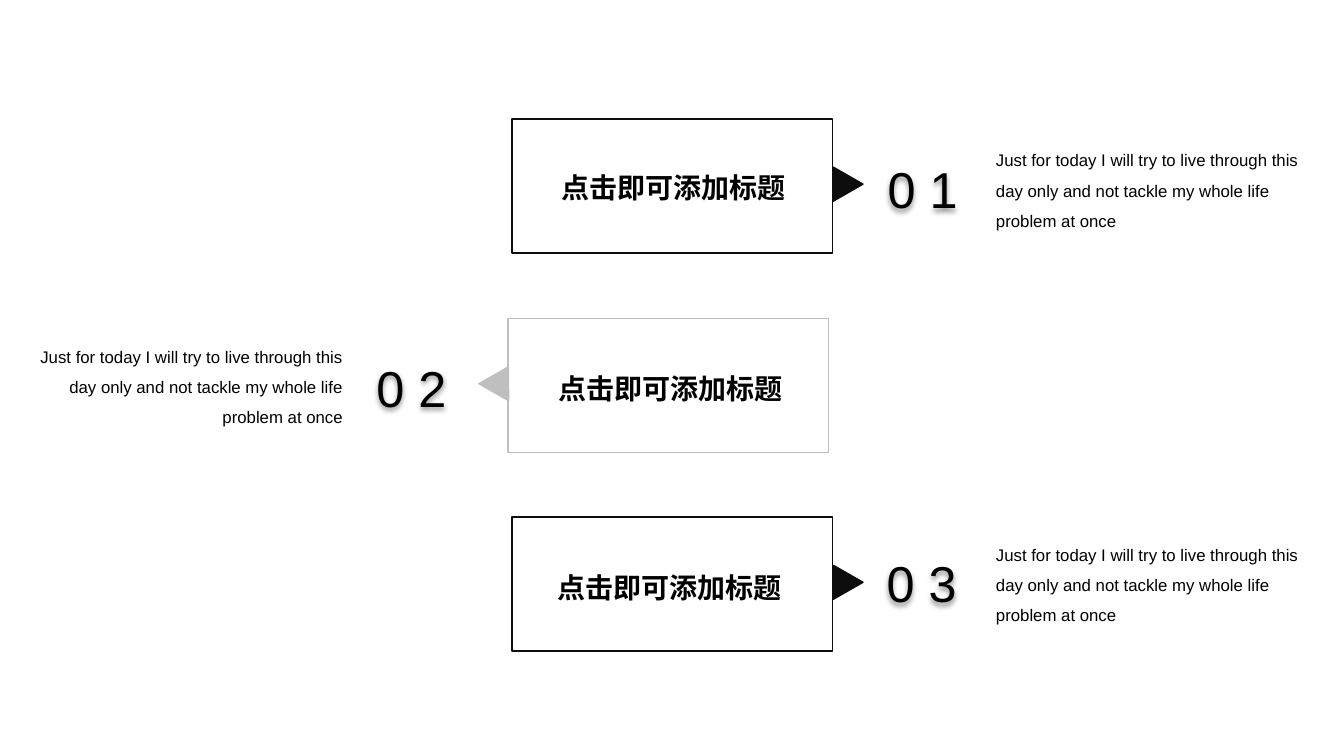
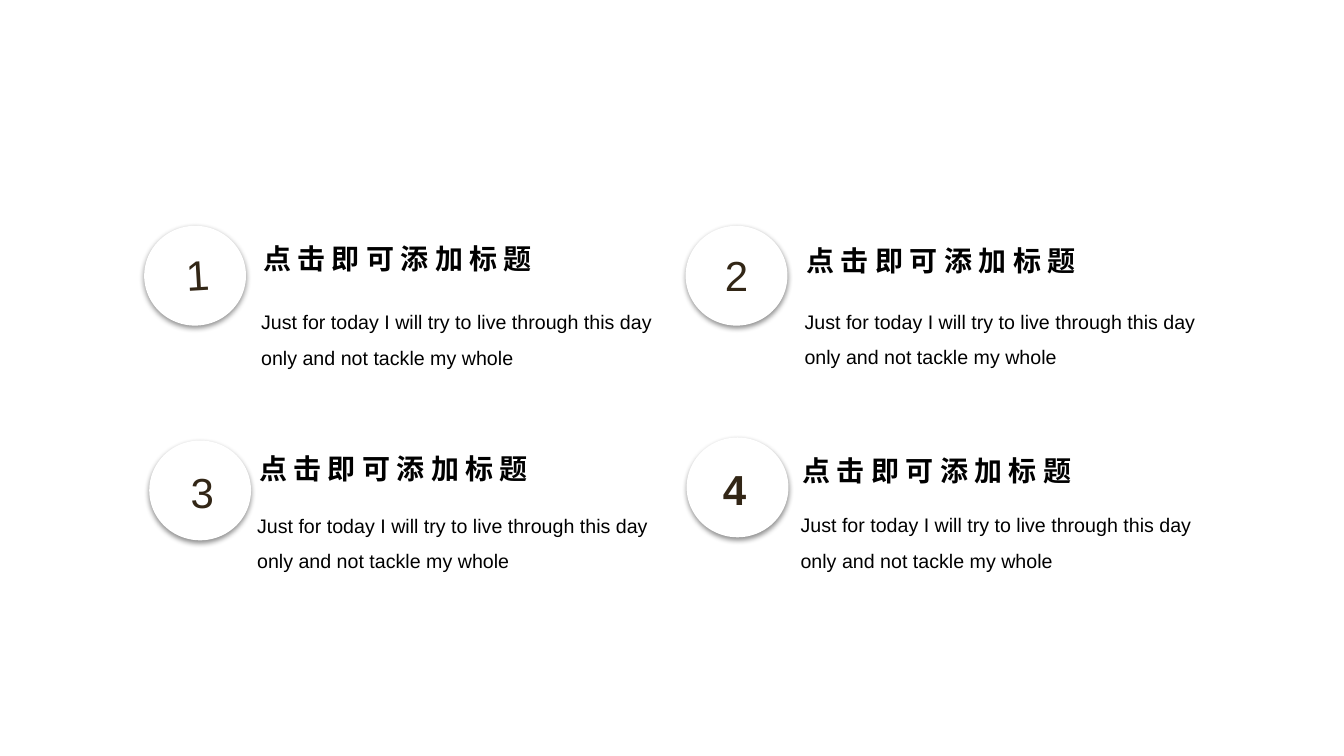
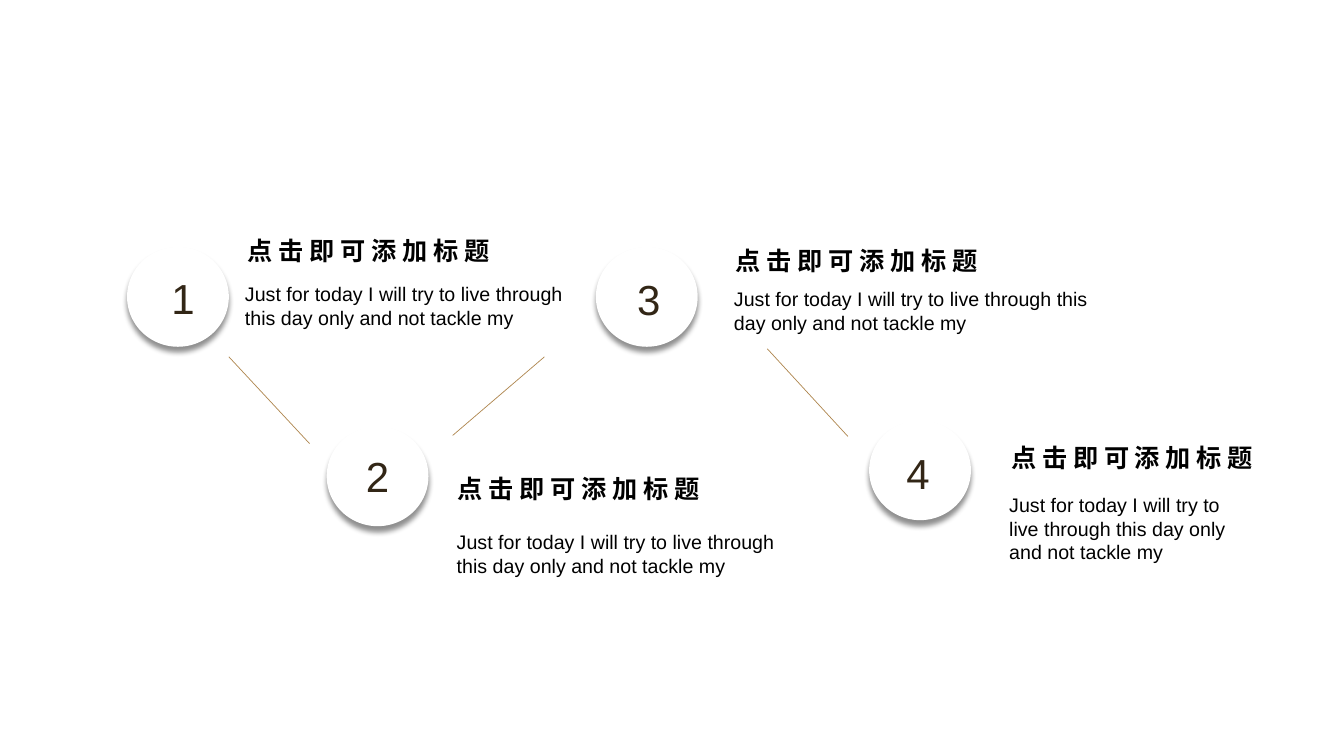
from lxml.etree import SubElement
from pptx import Presentation
from pptx.dml.color import RGBColor
from pptx.enum.shapes import MSO_CONNECTOR as Connector, MSO_SHAPE as Preset
from pptx.enum.text import MSO_ANCHOR as Anchor, MSO_AUTO_SIZE as AutoSize, PP_ALIGN as Align
from pptx.oxml.ns import qn
from pptx.util import Inches, Pt

BLACK = RGBColor(0x00, 0x00, 0x00)
WHITE = RGBColor(0xFF, 0xFF, 0xFF)
INK = RGBColor(0x0D, 0x0D, 0x0D)
GREY = RGBColor(0xBF, 0xBF, 0xBF)
BROWN = RGBColor(0x32, 0x26, 0x16)
GOLD = RGBColor(0xAF, 0x86, 0x4F)

TITLE = "点击即可添加标题"
SPACED_TITLE = " ".join(TITLE)
SHORT_NOTE = "Just for today I will try to live through this day only and not tackle my"
NOTE = SHORT_NOTE + " whole"
LONG_NOTE = NOTE + " life problem at once"

GROWING = {"word_wrap": True, "auto_size": AutoSize.SHAPE_TO_FIT_TEXT}
FLUSH = {"word_wrap": True, "margin_left": 0, "margin_right": 0,
         "margin_top": Inches(0.07), "margin_bottom": Inches(0.07)}
MIDDLE = {**FLUSH, "vertical_anchor": Anchor.MIDDLE}
SPACED = {"space_before": Pt(3)}
OPEN_LINES = {"line_spacing": 1.5}


def set_all(target, values):
    for name, value in values.items():
        setattr(target, name, value)


def add_shadow(shape, distance):
    shape.shadow.inherit = False
    effects = shape.element.spPr.find(qn("a:effectLst"))
    shadow = SubElement(effects, qn("a:outerShdw"), blurRad=str(Pt(4)),
                        dist=str(Pt(distance)), dir="5400000", algn="t", rotWithShape="0")
    color = SubElement(shadow, qn("a:srgbClr"), val=str(BLACK))
    SubElement(color, qn("a:alpha"), val="43000")


def add_text(page, at, text, size, frame, para=None, color=BLACK, bold=False):
    box = page.shapes.add_textbox(*map(Inches, at))
    set_all(box.text_frame, frame)
    paragraph = box.text_frame.paragraphs[0]
    set_all(paragraph, para or {})
    span = paragraph.add_run()
    span.text = text
    set_all(span.font, {"name": "Arial", "size": Pt(size), "bold": bold})
    span.font.color.rgb = color
    return box


def add_shape(page, preset, at, fill=None, line=None):
    shape = page.shapes.add_shape(preset, *map(Inches, at))
    shape.shadow.inherit = False
    if fill is None:
        shape.fill.background()
    else:
        shape.fill.solid()
        shape.fill.fore_color.rgb = fill
    if line is None:
        shape.line.fill.background()
    else:
        shape.line.color.rgb = line
        shape.line.width = Pt(1)
    return shape


def add_link(page, start, end):
    link = page.shapes.add_connector(Connector.STRAIGHT, *map(Inches, start + end))
    link.line.color.rgb = GOLD
    link.line.width = Pt(0.5)
    SubElement(link.element.spPr, qn("a:effectLst"))


def add_card(page, left, top, number, title_at, number_at, note_at, to_right, color):
    def place(offset, width, height):
        return left + offset[0], top + offset[1], width, height

    add_shape(page, Preset.RECTANGLE, (left, top, 3.18, 1.33), line=color)
    arrow_left = 3.09 if to_right else -0.24
    arrow = add_shape(page, Preset.ISOSCELES_TRIANGLE,
                      place((arrow_left, 0.46), 0.34, 0.29), color, color)
    arrow.rotation = -29.8 if to_right else 29.8
    centred = {"alignment": Align.CENTER}
    add_text(page, place(title_at, 3.06, 0.44), TITLE, 20, GROWING, centred, bold=True)
    label = add_text(page, place(number_at, 0.92, 0.71), number, 36, GROWING, centred)
    add_shadow(label, 2)
    side = Align.LEFT if to_right else Align.RIGHT
    add_text(page, place(note_at, 3.5, 1.01), LONG_NOTE, 12, GROWING,
             {**OPEN_LINES, "alignment": side})


def add_step(page, left, top, number, number_at, title_at, note_at, note_size,
             title_size, note, note_para, shadow_distance, turn=0, bold=False):
    def place(offset, size):
        return left + offset[0], top + offset[1], *size

    disc = add_shape(page, Preset.OVAL, (left, top, 1.01, 0.99), WHITE)
    add_shadow(disc, shadow_distance)
    label = add_text(page, place(number_at, (0.46, 0.86)), number, 30, FLUSH, SPACED, BROWN, bold)
    disc.rotation = label.rotation = turn
    add_text(page, place(title_at, (2.86, 0.42)), SPACED_TITLE, title_size, FLUSH, SPACED, bold=True)
    add_text(page, place(note_at, note_size), note, 14, MIDDLE, note_para)


def build_cards(page):
    cards = [
        (5.08, 1.18, "0 1", (0.07, 0.46), (3.61, 0.34), (4.7, 0.16), True, INK),
        (5.04, 3.16, "0 2", (0.08, 0.48), (-1.42, 0.33), (-5.04, 0.13), False, GREY),
        (5.08, 5.13, "0 3", (0.03, 0.48), (3.6, 0.3), (4.7, 0.12), True, INK),
    ]
    for card in cards:
        add_card(page, *card)


def build_grid(page):
    style = {"title_size": 20, "note": NOTE, "note_para": {**SPACED, **OPEN_LINES},
             "shadow_distance": 2}
    steps = [
        (1.43, 2.24, "1", (0.42, 0.15), (1.18, 0.09), (1.16, 0.66), (3.95, 0.82), {"turn": -3.4}),
        (6.8, 2.24, "2", (0.39, 0.17), (1.2, 0.11), (1.18, 0.68), (3.95, 0.77), {}),
        (1.48, 4.37, "3", (0.41, 0.19), (1.09, 0.04), (1.07, 0.62), (3.95, 0.68), {}),
        (6.81, 4.34, "4", (0.36, 0.19), (1.15, 0.09), (1.13, 0.67), (3.95, 0.63), {"bold": True}),
    ]
    for *step, extra in steps:
        add_step(page, *step, **style, **extra)


def build_zigzag(page):
    style = {"title_size": 18, "note": SHORT_NOTE, "note_para": SPACED, "shadow_distance": 4}
    steps = [
        (1.26, 2.45, "1", (0.44, 0.18), (1.2, -0.19), (1.17, 0.29), (3.21, 0.58)),
        (3.24, 4.23, "2", (0.39, 0.17), (1.3, 0.4), (1.29, 0.95), (3.41, 0.62)),
        (5.91, 2.45, "3", (0.41, 0.19), (1.39, -0.09), (1.37, 0.33), (3.56, 0.6)),
        (8.62, 4.17, "4", (0.37, 0.2), (1.41, 0.15), (1.39, 0.66), (2.17, 0.82)),
    ]
    links = [((2.27, 3.54), (3.07, 4.4)), ((4.49, 4.32), (5.4, 3.54)), ((7.61, 3.46), (8.41, 4.33))]
    for step in steps:
        add_step(page, *step, **style)
    for start, end in links:
        add_link(page, start, end)


def main():
    deck = Presentation()
    deck.slide_width, deck.slide_height = Inches(13.33), Inches(7.5)
    for build in (build_cards, build_grid, build_zigzag):
        build(deck.slides.add_slide(deck.slide_layouts[6]))
    deck.save("out.pptx")


if __name__ == "__main__":
    main()
